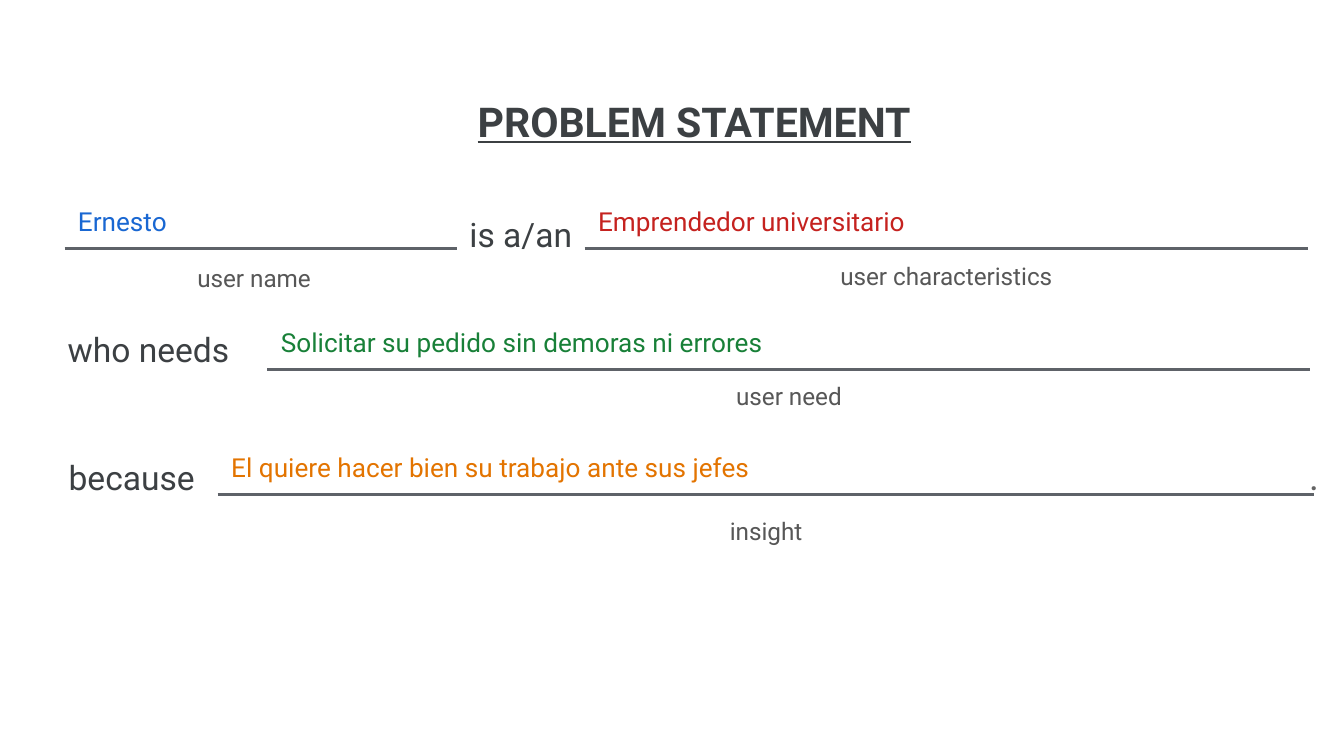
from dataclasses import dataclass

from lxml import etree
from pptx import Presentation
from pptx import util as u
from pptx.dml.color import RGBColor
from pptx.enum import shapes, text
from pptx.oxml.ns import qn


@dataclass(frozen=True)
class Theme:
    font: str = "Roboto"
    ink: str = "3C4043"
    caption: str = "575757"
    rule: str = "5E6268"
    stop: str = "646464"
    blue: str = "1967D2"
    red: str = "C5221F"
    green: str = "188038"
    orange: str = "E37400"
    title_size: int = 22
    stop_size: int = 20
    prompt_size: int = 18
    answer_size: int = 14
    caption_size: int = 13
    rule_width: float = 1.5


THEME = Theme()
LEFT = text.PP_ALIGN.LEFT
CENTER = text.PP_ALIGN.CENTER
COMPARISON_LAYOUT = 4
ANSWER_HEIGHT = 0.42

BLANKS = [
    (0.48, 2.92, 1.85, "Ernesto", THEME.blue),
    (4.35, 5.38, 1.85, "Emprendedor universitario", THEME.red),
    (1.99, 7.76, 2.75, "Solicitar su pedido sin demoras ni errores", THEME.green),
    (1.62, 8.16, 3.68, "El quiere hacer bien su trabajo ante sus jefes", THEME.orange),
]

CAPTIONS = [
    (0.43, 1.86, 2.92, 0.35, "user name"),
    (4.35, 1.84, 5.38, 0.35, "user characteristics"),
    (1.99, 2.74, 7.76, 0.52, "user need"),
    (1.62, 3.74, 8.16, 0.63, "insight"),
]

PROMPTS = [
    (3.4, 1.54, 0.95, 0.4, "is a/an", 0.05),
    (0.09, 2.35, 2.03, 0.63, "who needs", 0.1),
    (0.09, 3.3, 1.78, 0.54, "because", 0.1),
]


def write(box, words, size, color, align=CENTER, inset=0.1, bold=False):
    frame = box.text_frame
    frame.word_wrap = True
    frame.auto_size = text.MSO_AUTO_SIZE.NONE
    frame.vertical_anchor = text.MSO_ANCHOR.TOP
    frame.margin_left = frame.margin_right = u.Inches(inset)
    frame.margin_top = frame.margin_bottom = u.Inches(inset)
    frame.text = words
    para = frame.paragraphs[0]
    para.alignment = align
    para.space_before = u.Pt(0)
    para.font.name = THEME.font
    para.font.size = u.Pt(size)
    para.font.bold = bold
    para.font.color.rgb = RGBColor.from_string(color)
    return para


def add_label(page, left, top, width, height, words, size, color, align=CENTER, inset=0.1):
    box = page.shapes.add_textbox(*map(u.Inches, (left, top, width, height)))
    write(box, words, size, color, align, inset)


def place(holder, left, top, width, height):
    holder.left, holder.top = u.Inches(left), u.Inches(top)
    holder.width, holder.height = u.Inches(width), u.Inches(height)


def fill_title(holder, words):
    place(holder, 0.43, 0.62, 9.47, 0.54)
    para = write(holder, words, THEME.title_size, THEME.ink, bold=True)
    para.font.underline = True


def fill_answer(holder, left, width, rule_y, words, color):
    place(holder, left, rule_y - ANSWER_HEIGHT, width, ANSWER_HEIGHT)
    para = write(holder, words, THEME.answer_size, color, LEFT)
    properties = para._p.get_or_add_pPr()
    properties.set("marL", "0")
    properties.set("indent", "0")
    bullet = etree.Element(qn("a:buNone"))
    properties.find(qn("a:spcBef")).addnext(bullet)


def add_rule(page, left, width, y):
    rule = page.shapes.add_connector(
        shapes.MSO_CONNECTOR.STRAIGHT, *map(u.Inches, (left, y, left + width, y))
    )
    rule.line.color.rgb = RGBColor.from_string(THEME.rule)
    rule.line.width = u.Pt(THEME.rule_width)
    etree.SubElement(rule._element.spPr, qn("a:effectLst"))


def main():
    deck = Presentation()
    deck.slide_width = u.Inches(10)
    deck.slide_height = deck.slide_width * 9 // 16
    page = deck.slides.add_slide(deck.slide_layouts[COMPARISON_LAYOUT])
    title, *answers = page.placeholders
    fill_title(title, "PROBLEM STATEMENT")
    for holder, (left, width, rule_y, words, color) in zip(answers, BLANKS):
        fill_answer(holder, left, width, rule_y, words, color)
        add_rule(page, left, width, rule_y)
    for left, top, width, height, words in CAPTIONS:
        add_label(page, left, top, width, height, words, THEME.caption_size, THEME.caption)
    for left, top, width, height, words, inset in PROMPTS:
        add_label(page, left, top, width, height, words, THEME.prompt_size, THEME.ink, inset=inset)
    add_label(page, 9.69, 3.32, 0.32, 0.44, ".", THEME.stop_size, THEME.stop, LEFT, 0.05)
    deck.save("out.pptx")


if __name__ == "__main__":
    main()
